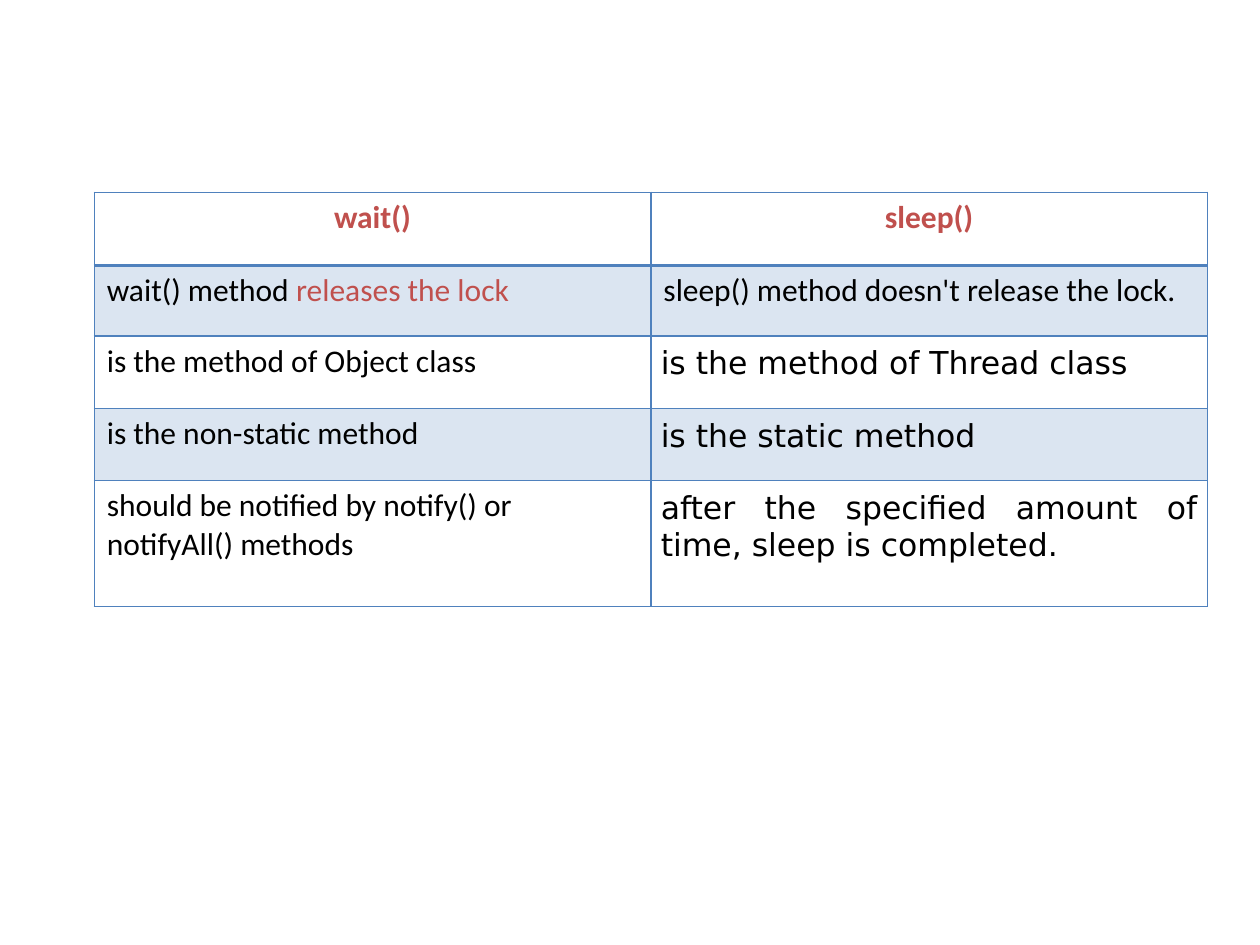
from lxml.etree import SubElement
from pptx import Presentation
from pptx.dml.color import RGBColor
from pptx.enum.text import PP_ALIGN as Align
from pptx.oxml import parse_xml
from pptx.oxml.ns import nsdecls, qn
from pptx.util import Cm, Pt

BLUE = RGBColor(0x4F, 0x81, 0xBD)
RED = RGBColor(0xC0, 0x50, 0x4D)
BLACK = RGBColor(0, 0, 0)
BODY_FONT, ALT_FONT = "Calibri", "DejaVu Sans"

HEADER = ["wait()", "sleep()"]
# Each cell is a list of (text, colour) runs.
BODY = [
    ([("wait() method ", BLACK), ("releases the lock", RED)],
     [("sleep() method doesn't release the lock.", BLACK)]),
    ([("is the method of Object class", BLACK)],
     [("is the method of Thread class", BLACK)]),
    ([("is the non-static method", BLACK)],
     [("is the static method", BLACK)]),
    ([("should be notified by notify() or notifyAll() methods", BLACK)],
     [("after the specified amount of time, sleep is completed.", BLACK)]),
]
LEFT, TOP, COL_WIDTH = 1.9, 3.88, 11.22
ROW_HEIGHTS = [1.47, 1.42, 1.46, 1.46, 2.54]


def add_runs(cell, runs, font, align, bold=False):
    p = cell.text_frame.paragraphs[0]
    p.alignment = align
    for text, color in runs:
        r = p.add_run()
        r.text = text
        r.font.name, r.font.size, r.font.bold = font, Pt(18), bold
        r.font.color.rgb = color


def set_fill(cell, banded):
    if not banded:
        cell.fill.background()
        return
    cell.fill.solid()
    cell.fill.fore_color.rgb = BLUE
    color = cell._tc.tcPr.find(".//" + qn("a:srgbClr"))
    SubElement(color, qn("a:alpha")).set("val", "20000")


def set_borders(cell, widths):
    """Draw left, right, top and bottom borders, ahead of the fill as the schema asks."""
    for i, (side, width) in enumerate(zip("LRTB", widths)):
        line = parse_xml(
            f'<a:ln{side} {nsdecls("a")} w="{Pt(width)}"><a:solidFill>'
            f'<a:srgbClr val="{BLUE}"/></a:solidFill></a:ln{side}>')
        cell._tc.get_or_add_tcPr().insert(i, line)


prs = Presentation()
prs.slide_width, prs.slide_height = Cm(25.4), Cm(19.05)
s = prs.slides.add_slide(prs.slide_layouts[6])

table = s.shapes.add_table(
    len(ROW_HEIGHTS), len(HEADER), Cm(LEFT), Cm(TOP),
    Cm(COL_WIDTH * len(HEADER)), Cm(sum(ROW_HEIGHTS))).table
table.first_row = table.horz_banding = False
for column in table.columns:
    column.width = Cm(COL_WIDTH)
for row, height in zip(table.rows, ROW_HEIGHTS):
    row.height = Cm(height)

for col, title in enumerate(HEADER):
    add_runs(table.cell(0, col), [(title, RED)], BODY_FONT, Align.CENTER, bold=True)

for row, cells in enumerate(BODY, start=1):
    for col, runs in enumerate(cells):
        cell = table.cell(row, col)
        if col == 1 and row > 1:
            add_runs(cell, runs, ALT_FONT, Align.JUSTIFY)
            cell.margin_left = cell.margin_right = Cm(0.2)
            cell.margin_top = cell.margin_bottom = Cm(0.2)
        else:
            add_runs(cell, runs, BODY_FONT, Align.LEFT)

for row in range(len(ROW_HEIGHTS)):
    for col in range(len(HEADER)):
        cell = table.cell(row, col)
        set_fill(cell, banded=row % 2 == 1)
        set_borders(cell, (1, 1, 2 if row == 1 else 1, 2 if row == 0 else 1))

prs.save("out.pptx")
